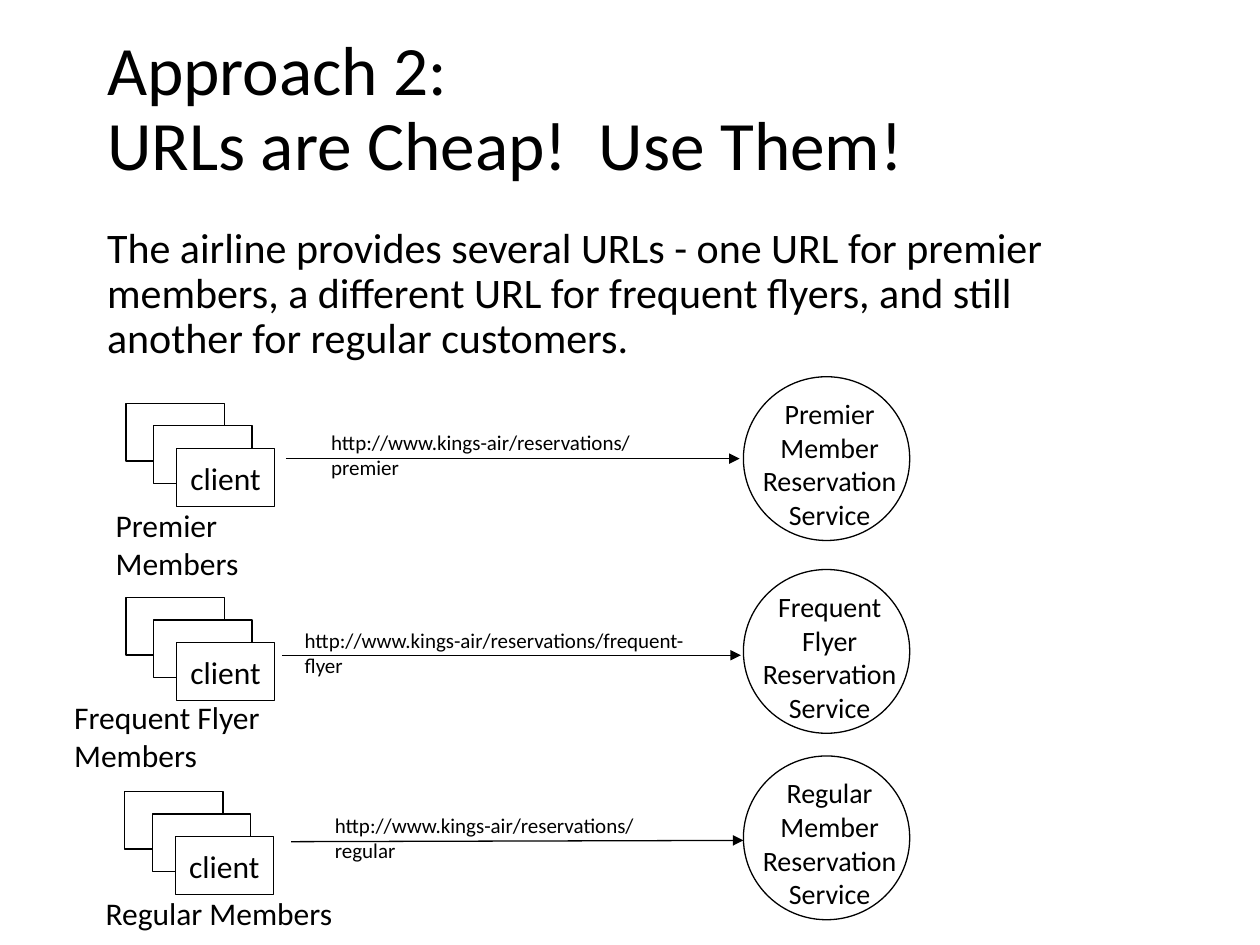
from dataclasses import dataclass

from lxml import etree
from pptx import Presentation
from pptx.dml.color import RGBColor
from pptx.enum import shapes, text
from pptx.oxml import ns
from pptx.util import Inches, Pt


@dataclass(frozen=True)
class Theme:
    font: str = "Calibri"
    ink: RGBColor = RGBColor(0, 0, 0)
    paper: RGBColor = RGBColor(255, 255, 255)
    title: float = 39.6
    body: float = 24
    label: float = 18
    service: float = 16
    url: float = 12
    line: float = 0.75


@dataclass(frozen=True)
class Route:
    members: str
    members_box: tuple
    clients_at: tuple
    url: str
    url_box: tuple
    arrow: tuple
    service: tuple
    service_top: float


THEME = Theme()
URL_BASE = "http://www.kings-air/reservations/"
ROUTES = [
    Route("Premier Members", (0.82, 3.97, 2, 0.4), (1, 3.2),
          "premier", (2.53, 3.36, 3.02, 0.3), (2.27, 3.64, 5.87, 3.64),
          ("Premier", "Member"), 2.99),
    Route("Frequent Flyer Members", (0.49, 5.49, 2.69, 0.4), (1, 4.74),
          "frequent-flyer", (2.32, 4.93, 3.43, 0.3), (2.24, 5.2, 5.88, 5.2),
          ("Frequent", "Flyer"), 4.52),
    Route("Regular Members", (0.74, 7.05, 2, 0.4), (0.99, 6.28),
          "regular", (2.56, 6.4, 2.97, 0.3), (2.31, 6.68, 5.9, 6.67),
          ("Regular", "Member"), 6),
]


def inches(values):
    return [Inches(value) for value in values]


def write(frame, lines, size, align=text.PP_ALIGN.LEFT, wrap=True):
    frame.word_wrap = wrap
    frame.auto_size = text.MSO_AUTO_SIZE.NONE
    frame.text = "\n".join(lines)
    for para in frame.paragraphs:
        para.alignment = align
        para.font.name = THEME.font
        para.font.size = Pt(size)
        para.font.color.rgb = THEME.ink


def place_placeholder(holder, box, content, size):
    holder.left, holder.top, holder.width, holder.height = inches(box)
    write(holder.text_frame, [content], size)
    para = holder.text_frame.paragraphs[0]
    para.line_spacing = 0.9
    return para


def add_heading(page, box):
    para = place_placeholder(page.shapes.title, box, "", THEME.title)
    para.text = "Approach 2: \vURLs are Cheap!  Use Them!"
    page.shapes.title.text_frame.vertical_anchor = text.MSO_ANCHOR.MIDDLE


def add_body(page, box):
    para = place_placeholder(
        page.placeholders[1], box,
        "The airline provides several URLs - one URL for premier members, "
        "a different URL for frequent flyers, and still another for regular customers.",
        THEME.body)
    para.space_before = Pt(10)
    properties = para._p.get_or_add_pPr()
    properties.set("marL", "0")
    properties.set("indent", "0")
    etree.SubElement(properties, ns.qn("a:buNone"))


def add_label(page, box, lines, size, **options):
    label = page.shapes.add_textbox(*inches(box))
    write(label.text_frame, lines, size, **options)


def add_outline(page, kind, box, filled):
    shape = page.shapes.add_shape(kind, *inches(box))
    shape.shadow.inherit = False
    if filled:
        shape.fill.solid()
        shape.fill.fore_color.rgb = THEME.paper
    else:
        shape.fill.background()
    shape.line.color.rgb = THEME.ink
    shape.line.width = Pt(THEME.line)
    return shape


def add_clients(page, left, top):
    for across, down in ((0, 0), (0.22, 0.18), (0.4, 0.36)):
        client = add_outline(page, shapes.MSO_SHAPE.RECTANGLE,
                             (left + across, top + down, 0.78, 0.46), True)
    write(client.text_frame, ["client"], THEME.label, text.PP_ALIGN.CENTER, False)
    client.text_frame.vertical_anchor = text.MSO_ANCHOR.MIDDLE


def add_arrow(page, ends):
    arrow = page.shapes.add_connector(shapes.MSO_CONNECTOR.STRAIGHT, *inches(ends))
    arrow.line.color.rgb = THEME.ink
    arrow.line.width = Pt(THEME.line)
    etree.SubElement(arrow.line._get_or_add_ln(), ns.qn("a:tailEnd"), type="triangle")
    etree.SubElement(arrow._element.spPr, ns.qn("a:effectLst"))


def add_service(page, left, top, words):
    add_outline(page, shapes.MSO_SHAPE.OVAL, (left, top, 1.32, 1.3), False)
    add_label(page, (left + 0.05, top + 0.11, 1.27, 1.17),
              [*words, "Reservation", "Service"], THEME.service,
              align=text.PP_ALIGN.CENTER, wrap=False)


def add_route(page, route):
    add_label(page, route.members_box, [route.members], THEME.label)
    add_arrow(page, route.arrow)
    add_clients(page, *route.clients_at)
    add_label(page, route.url_box, [URL_BASE + route.url], THEME.url)
    add_service(page, 5.9, route.service_top, route.service)


def main():
    deck = Presentation()
    deck.slide_width, deck.slide_height = inches((10, 7.5))
    page = deck.slides.add_slide(deck.slide_layouts[1])
    add_heading(page, (0.75, 0.25, 8.5, 1.25))
    add_body(page, (0.75, 1.75, 8.5, 1.28))
    for route in ROUTES:
        add_route(page, route)
    deck.save("out.pptx")


if __name__ == "__main__":
    main()
